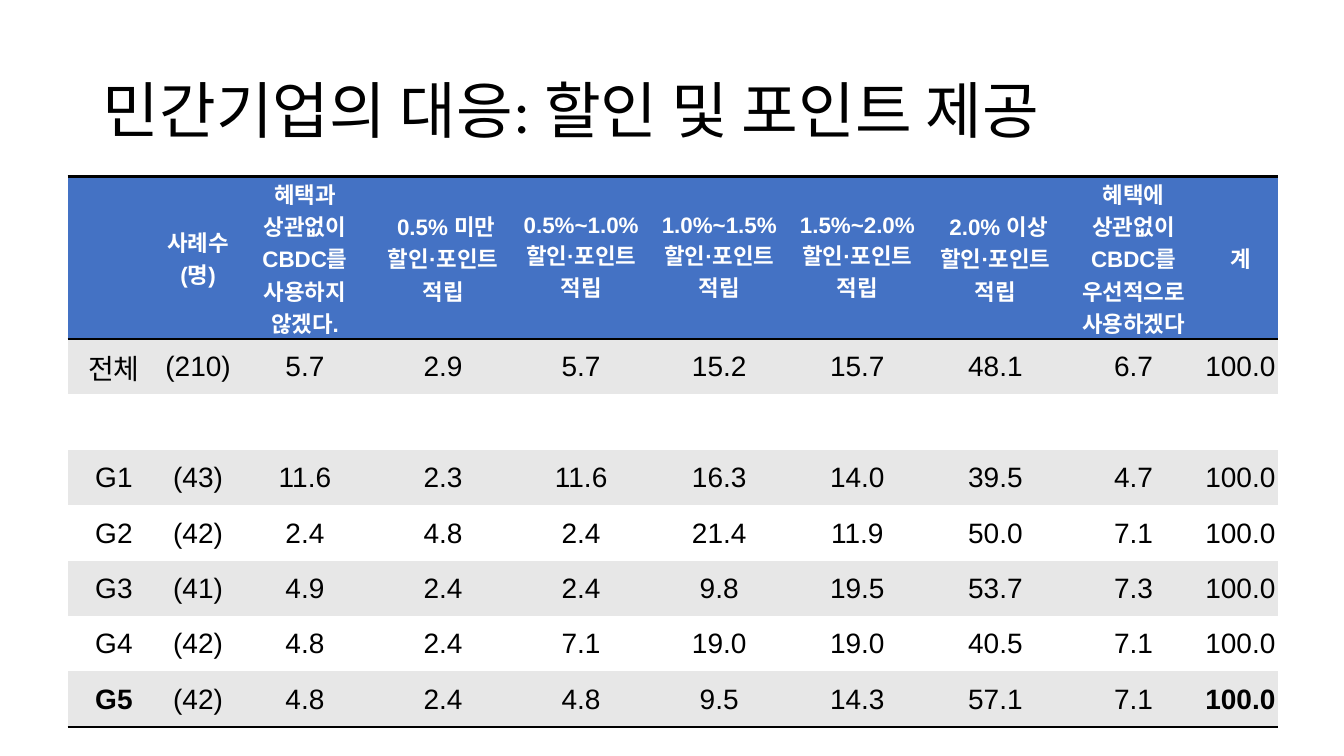
from dataclasses import dataclass

from lxml.etree import SubElement
from pptx import Presentation
from pptx.dml.color import RGBColor
from pptx.enum.text import MSO_ANCHOR, PP_ALIGN
from pptx.oxml import parse_xml
from pptx.oxml.ns import nsdecls, qn
from pptx.slide import Slide
from pptx.table import Table, _Cell
from pptx.util import Inches, Pt


@dataclass(frozen=True)
class Theme:
    header: RGBColor = RGBColor(0x44, 0x72, 0xC4)
    band: RGBColor = RGBColor(0xE7, 0xE7, 0xE7)
    white: RGBColor = RGBColor(0xFF, 0xFF, 0xFF)
    black: RGBColor = RGBColor(0, 0, 0)
    title_font: str = "Calibri"
    table_font: str = "Arial"
    title_size: int = 44
    header_size: int = 16
    body_size: int = 20
    rule_width: int = 2


@dataclass(frozen=True)
class Row:
    label: str
    count: str
    shares: tuple[str, ...]
    total: str = "100.0"
    bold_ends: bool = False

    def texts(self) -> list[str]:
        return [self.label, self.count, *self.shares, self.total]


THEME = Theme()
NO_STYLE_NO_GRID = "{2D5ABB26-0587-4C30-8999-92F81FD0307C}"
COLUMN_WIDTHS = [0.92, 0.75] + [1.37] * 7 + [0.75]
HEADER_HEIGHT, ROW_HEIGHT = 1.31, 0.55

HEADER = Row(
    "",
    "사례수 (명)",
    (
        "혜택과 상관없이 CBDC를 사용하지 않겠다.",
        " 0.5% 미만 할인·포인트 적립",
        "0.5%~1.0% 할인·포인트 적립",
        "1.0%~1.5% 할인·포인트 적립",
        "1.5%~2.0% 할인·포인트 적립",
        " 2.0% 이상 할인·포인트 적립",
        "혜택에 상관없이 CBDC를 우선적으로 사용하겠다",
    ),
    "계",
)
ROWS = [
    Row("전체", "(210)", ("5.7", "2.9", "5.7", "15.2", "15.7", "48.1", "6.7")),
    Row("", "", ("",) * 7, ""),
    Row("G1", "(43)", ("11.6", "2.3", "11.6", "16.3", "14.0", "39.5", "4.7")),
    Row("G2", "(42)", ("2.4", "4.8", "2.4", "21.4", "11.9", "50.0", "7.1")),
    Row("G3", "(41)", ("4.9", "2.4", "2.4", "9.8", "19.5", "53.7", "7.3")),
    Row("G4", "(42)", ("4.8", "2.4", "7.1", "19.0", "19.0", "40.5", "7.1")),
    Row("G5", "(42)", ("4.8", "2.4", "4.8", "9.5", "14.3", "57.1", "7.1"), bold_ends=True),
]


def add_title(s: Slide, text: str) -> None:
    sp = s.shapes.add_textbox(Inches(0.92), Inches(0.4), Inches(11.5), Inches(1.45))
    tf = sp.text_frame
    tf.word_wrap = True
    tf.vertical_anchor = MSO_ANCHOR.MIDDLE
    p = tf.paragraphs[0]
    p.line_spacing = 0.9
    r = p.add_run()
    r.text = text
    r.font.name = THEME.title_font
    r.font.size = Pt(THEME.title_size)
    r.font.color.rgb = THEME.black


def fill_cell(cell: _Cell, text: str, fill: RGBColor, color: RGBColor, size: int, bold: bool) -> None:
    cell.fill.solid()
    cell.fill.fore_color.rgb = fill
    cell.vertical_anchor = MSO_ANCHOR.MIDDLE
    cell.margin_left = cell.margin_right = cell.margin_top = Inches(0.01)
    cell.margin_bottom = 0
    if not text:
        return
    p = cell.text_frame.paragraphs[0]
    p.alignment = PP_ALIGN.CENTER
    r = p.add_run()
    r.text = text
    r.font.name = THEME.table_font
    r.font.size = Pt(size)
    r.font.bold = bold
    r.font.color.rgb = color


def rule_cell(cell: _Cell, sides: str) -> None:
    """Draw rules on the given sides: T for top, B for bottom."""
    tc_pr = cell._tc.get_or_add_tcPr()
    for i, side in enumerate(sides):
        tc_pr.insert(i, parse_xml(
            f'<a:ln{side} {nsdecls("a")} w="{Pt(THEME.rule_width)}"><a:solidFill>'
            f'<a:srgbClr val="{THEME.black}"/></a:solidFill></a:ln{side}>'))


def clear_style(table: Table) -> None:
    table.first_row = table.horz_banding = False
    tbl_pr = table._tbl.tblPr
    style = tbl_pr.find(qn("a:tableStyleId"))
    if style is None:
        style = SubElement(tbl_pr, qn("a:tableStyleId"))
    style.text = NO_STYLE_NO_GRID


def add_share_table(s: Slide) -> None:
    rows = [HEADER, *ROWS]
    heights = [HEADER_HEIGHT] + [ROW_HEIGHT] * len(ROWS)
    table = s.shapes.add_table(
        len(rows), len(COLUMN_WIDTHS), Inches(0.67), Inches(1.75),
        Inches(sum(COLUMN_WIDTHS)), Inches(sum(heights))).table
    clear_style(table)
    for column, width in zip(table.columns, COLUMN_WIDTHS):
        column.width = Inches(width)
    last_row, last_column = len(rows) - 1, len(COLUMN_WIDTHS) - 1
    for i, (row, height) in enumerate(zip(rows, heights)):
        table.rows[i].height = Inches(height)
        for j, text in enumerate(row.texts()):
            cell = table.cell(i, j)
            if i == 0:
                fill_cell(cell, text, THEME.header, THEME.white, THEME.header_size, True)
                rule_cell(cell, "TB")
                continue
            fill = THEME.band if i % 2 else THEME.white
            bold = row.bold_ends and j in (0, last_column)
            fill_cell(cell, text, fill, THEME.black, THEME.body_size, bold)
            if i == last_row:
                rule_cell(cell, "B")


def main() -> None:
    prs = Presentation()
    prs.slide_width, prs.slide_height = Inches(13.33), Inches(7.5)
    s = prs.slides.add_slide(prs.slide_layouts[6])
    add_share_table(s)
    add_title(s, "민간기업의 대응: 할인 및 포인트 제공")
    prs.save("out.pptx")


if __name__ == "__main__":
    main()
